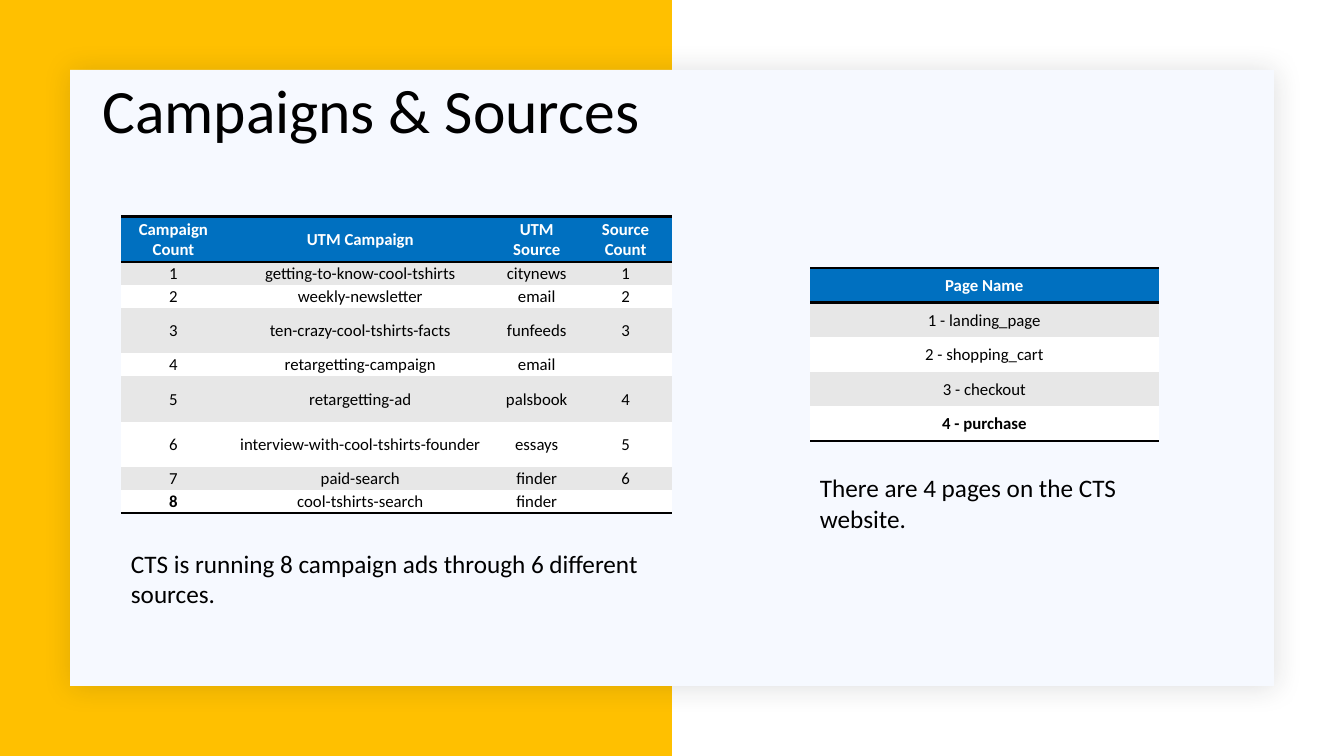
import lxml.etree
import pptx
import pptx.dml.color
import pptx.enum.shapes
import pptx.enum.text
import pptx.oxml.ns
import pptx.util

Pt = pptx.util.Pt
MIDDLE = pptx.enum.text.MSO_ANCHOR.MIDDLE
CENTER = pptx.enum.text.PP_ALIGN.CENTER
qn = pptx.oxml.ns.qn

BLACK, WHITE, GREY, BLUE = "000000", "FFFFFF", "E7E7E7", "0070C0"
NO_GRID_STYLE = "{2D5ABB26-0587-4C30-8999-92F81FD0307C}"

CELL_FORMAT = {
    "vertical_anchor": MIDDLE,
    "margin_left": Pt(0.7),
    "margin_right": Pt(0.7),
    "margin_top": Pt(0.7),
    "margin_bottom": Pt(0),
}

CAMPAIGNS = [
    ("Campaign Count", "UTM Campaign", "UTM Source", "Source Count"),
    ("1", "getting-to-know-cool-tshirts", "citynews", "1"),
    ("2", "weekly-newsletter", "email", "2"),
    ("3", "ten-crazy-cool-tshirts-facts", "funfeeds", "3"),
    ("4", "retargetting-campaign", "email", ""),
    ("5", "retargetting-ad", "palsbook", "4"),
    ("6", "interview-with-cool-tshirts-founder", "essays", "5"),
    ("7", "paid-search", "finder", "6"),
    ("8", "cool-tshirts-search", "finder", ""),
]
PAGES = [("Page Name",), ("1 - landing_page",), ("2 - shopping_cart",),
         ("3 - checkout",), ("4 - purchase",)]


def color(hex_string):
    return pptx.dml.color.RGBColor.from_string(hex_string)


def apply_format(target, values):
    for name, value in values.items():
        setattr(target, name, value)


def add_child(parent, tag, **attributes):
    return lxml.etree.SubElement(parent, qn(tag), attributes)


def style_font(font, size, hex_string=BLACK, bold=False):
    apply_format(font, {"name": "Calibri", "size": Pt(size), "bold": bold})
    font.color.rgb = color(hex_string)


def add_panel(slide, left, top, width, height, fill):
    panel = slide.shapes.add_shape(
        pptx.enum.shapes.MSO_SHAPE.RECTANGLE,
        Pt(left), Pt(top), Pt(width), Pt(height))
    panel.shadow.inherit = False
    panel.fill.solid()
    panel.fill.fore_color.rgb = color(fill)
    panel.line.fill.background()
    return panel


def add_soft_shadow(panel):
    effects = panel._element.spPr.find(qn("a:effectLst"))
    shadow = add_child(effects, "a:outerShdw", blurRad=str(Pt(20)),
                       dist=str(Pt(2)), dir="2700000", algn="tl", rotWithShape="0")
    tint = add_child(shadow, "a:srgbClr", val="1F2125")
    add_child(tint, "a:alpha", val="15000")


def add_text(slide, left, top, width, height, words, size, **frame_format):
    frame = slide.shapes.add_textbox(
        Pt(left), Pt(top), Pt(width), Pt(height)).text_frame
    apply_format(frame, {"word_wrap": True, **frame_format})
    paragraph = frame.paragraphs[0]
    run = paragraph.add_run()
    run.text = words
    style_font(run.font, size)
    return paragraph


def add_rules(cell, sides):
    properties = cell._tc.get_or_add_tcPr()
    for position, side in enumerate(sides):
        rule = lxml.etree.Element(qn(f"a:ln{side}"), w=str(Pt(2)))
        paint = add_child(rule, "a:solidFill")
        add_child(paint, "a:srgbClr", val=BLACK)
        properties.insert(position, rule)


def fill_cell(cell, words, fill, text_color, bold):
    apply_format(cell, CELL_FORMAT)
    cell.fill.solid()
    cell.fill.fore_color.rgb = color(fill)
    paragraph = cell.text_frame.paragraphs[0]
    paragraph.alignment = CENTER
    if words:
        run = paragraph.add_run()
        run.text = words
        style_font(run.font, 12, text_color, bold)
    else:
        # An empty cell keeps the text size of its row
        add_child(paragraph._p, "a:endParaRPr", sz="1200")


def add_ruled_table(slide, left, top, widths, heights, rows):
    table = slide.shapes.add_table(
        len(rows), len(widths), Pt(left), Pt(top),
        Pt(sum(widths)), Pt(sum(heights))).table
    table._tbl.tblPr.find(qn("a:tableStyleId")).text = NO_GRID_STYLE
    apply_format(table, {"first_row": True, "horz_banding": False})
    for column, width in zip(table.columns, widths):
        column.width = Pt(width)
    last = len(rows) - 1
    for r, (row, height) in enumerate(zip(rows, heights)):
        table.rows[r].height = Pt(height)
        fill = BLUE if r == 0 else GREY if r % 2 else WHITE
        for c, words in enumerate(row):
            cell = table.cell(r, c)
            # The header and the final total are bold
            bold = r == 0 or (r == last and c == 0)
            fill_cell(cell, words, fill, WHITE if r == 0 else BLACK, bold)
            add_rules(cell, "TB" if r == 0 else "B" if r == last else "")


def main():
    presentation = pptx.Presentation()
    apply_format(presentation, {"slide_width": Pt(960), "slide_height": Pt(540)})
    slide = presentation.slides.add_slide(presentation.slide_layouts[6])

    # Backdrop
    add_panel(slide, 0, 0, 480, 540, "FFC000")
    card = add_panel(slide, 50, 50, 860, 440, "F6F9FF")
    add_soft_shadow(card)

    # Title
    title = add_text(slide, 66, 28.8, 828, 104.4, "Campaigns & Sources", 44,
                     vertical_anchor=MIDDLE)
    title.line_spacing = 0.9

    # Campaigns and their sources
    short, tall = 16.3, 32.5
    add_ruled_table(slide, 86.4, 154.8, [75, 192, 60, 67],
                    [tall, short, short, tall, short, tall, tall, short, short],
                    CAMPAIGNS)
    add_text(slide, 86.4, 388, 394, 51,
             "CTS is running 8 campaign ads through 6 different sources.", 18)

    # Website pages
    add_ruled_table(slide, 578.6, 191.5, [249], [24.7] * len(PAGES), PAGES)
    add_text(slide, 578.6, 334, 249, 51,
             "There are 4 pages on the CTS website.", 18)

    presentation.save("out.pptx")


if __name__ == "__main__":
    main()
